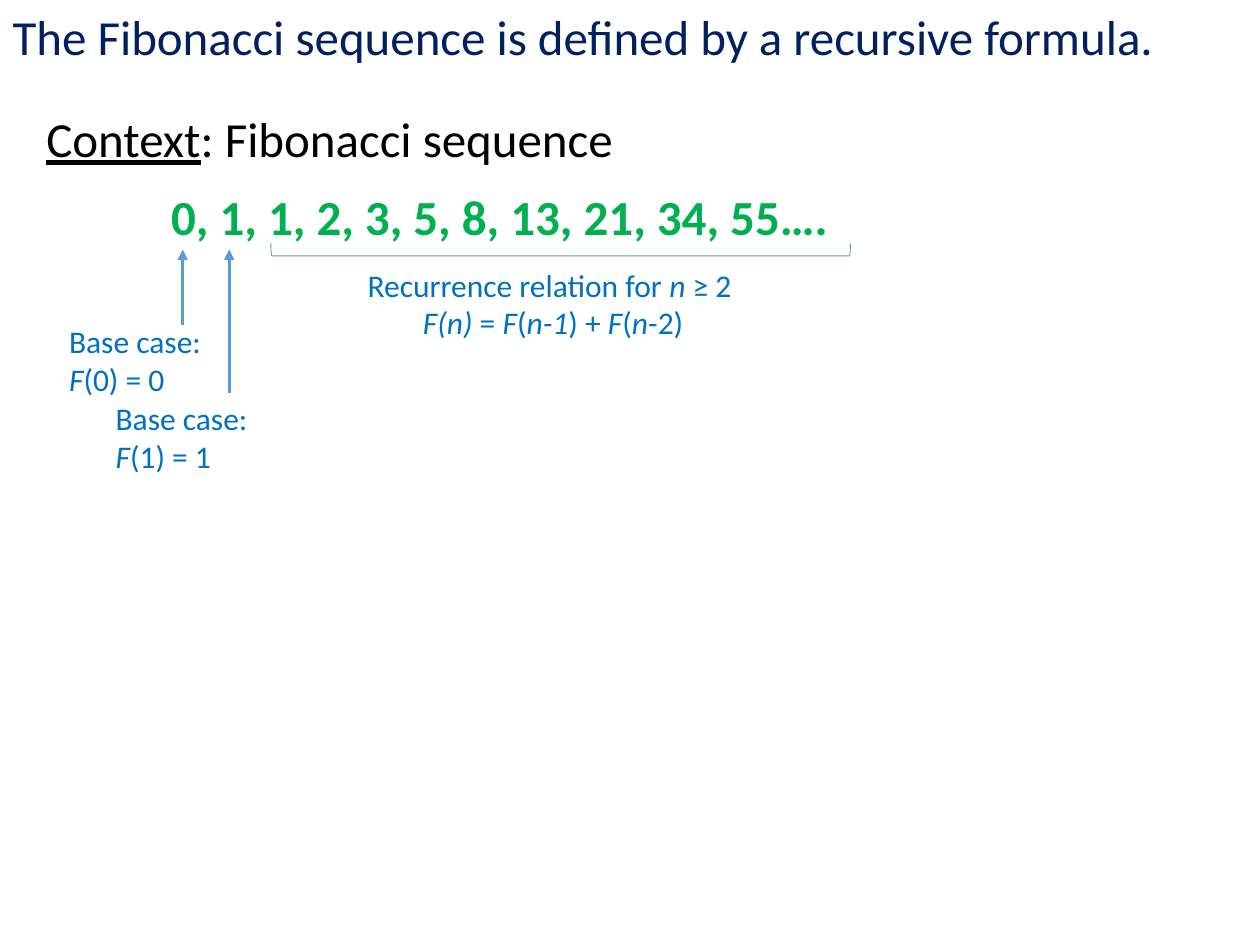
from pptx import Presentation
from pptx.dml.color import RGBColor
from pptx.enum.shapes import MSO_CONNECTOR, MSO_SHAPE
from pptx.enum.text import MSO_ANCHOR, PP_ALIGN
from pptx.oxml.ns import qn
from pptx.util import Pt
from lxml import etree

STRAIGHT = MSO_CONNECTOR.STRAIGHT
BRACKET = MSO_SHAPE.LEFT_BRACKET
TOP = MSO_ANCHOR.TOP
LEFT, CENTER = PP_ALIGN.LEFT, PP_ALIGN.CENTER

# Content: each paragraph is a list of (text, font overrides)
ITALIC = {"italic": True}
UNDERLINE = {"underline": True}
TITLE = [[("The Fibonacci sequence is defined by a recursive formula.", {})]]
CONTEXT = [[("Context", UNDERLINE), (": Fibonacci sequence", {})]]
SEQUENCE = [[("0, 1, 1, 2, 3, 5, 8, 13, 21, 34, 55….", {})]]
RECURRENCE = [
    [("Recurrence relation for ", {}), ("n ", ITALIC), ("≥ 2 ", {})],
    [("F(n)", ITALIC), (" = ", {}), ("F", ITALIC), ("(", {}), ("n-1", ITALIC),
     (") + ", {}), ("F", ITALIC), ("(", {}), ("n", ITALIC), ("-2)", {})],
]
# Base cases: index (also the value), label left, label top, arrow start
BASE_CASES = [(0, 32.4, 180.7, 185.8), (1, 59, 224.6, 224.6)]

# Formats
BLUE_LINE = "5B9BD5"
HEADING = {"name": "Calibri", "size": Pt(28)}
TITLE_FONT = {**HEADING, "color": "002060", "bold": False}
CONTEXT_FONT = {**HEADING, "color": "000000"}
SEQUENCE_FONT = {**HEADING, "color": "00B050", "bold": True}
NOTE_FONT = {"name": "Calibri", "size": Pt(18), "color": "0070C0"}

# Layout in points
HEADING_HEIGHT, NOTE_HEIGHT = 41.2, 50.9
ARROW_TIP, ARROW_OFFSET = 142.6, 72
BRACKET_BOX = (316.8, -23, 7.2, 331.2)


def color(hex_string):
    return RGBColor.from_string(hex_string)


def format_font(font, values):
    for name, value in values.items():
        if name == "color":
            font.color.rgb = color(value)
        else:
            setattr(font, name, value)


def fill_text(shape, box, paragraphs, font, align=LEFT, level=0):
    shape.left, shape.top, shape.width, shape.height = map(Pt, box)
    frame = shape.text_frame
    frame.word_wrap = True
    frame.vertical_anchor = TOP
    for index, runs in enumerate(paragraphs):
        paragraph = frame.add_paragraph() if index else frame.paragraphs[0]
        paragraph.alignment = align
        paragraph.level = level
        for text, overrides in runs:
            run = paragraph.add_run()
            run.text = text
            format_font(run.font, {**font, **overrides})


def add_text(box, *arguments, **options):
    fill_text(slide.shapes.add_textbox(0, 0, 0, 0), box, *arguments, **options)


def add_arrow(x, start, end):
    arrow = slide.shapes.add_connector(STRAIGHT, Pt(x), Pt(start), Pt(x), Pt(end))
    arrow.line.color.rgb = color(BLUE_LINE)
    arrow.line.width = Pt(1.5)
    etree.SubElement(arrow.line._get_or_add_ln(), qn("a:tailEnd"), type="triangle")
    etree.SubElement(arrow._element.spPr, qn("a:effectLst"))


presentation = Presentation()
presentation.slide_width, presentation.slide_height = Pt(720), Pt(540)
slide = presentation.slides.add_slide(presentation.slide_layouts[5])

# Title, context and sequence
fill_text(slide.shapes.title, (0, 0, 710.6, HEADING_HEIGHT), TITLE, TITLE_FONT)
add_text((-16.6, 58.3, 611.3, HEADING_HEIGHT), CONTEXT, CONTEXT_FONT, level=1)
add_text((54.7, 103, 611.3, HEADING_HEIGHT), SEQUENCE, SEQUENCE_FONT, level=1)

# Base cases with their arrows
for number, left, top, start in BASE_CASES:
    add_arrow(left + ARROW_OFFSET, start, ARROW_TIP)
    label = [[("Base case: ", {})], [("F", ITALIC), (f"({number}) = {number}", {})]]
    add_text((left, top, 91.4, NOTE_HEIGHT), label, NOTE_FONT)

# Bracket under the recursive terms
bracket = slide.shapes.add_shape(BRACKET, *map(Pt, BRACKET_BOX))
bracket.rotation = 270
bracket.shadow.inherit = False
bracket.fill.background()
bracket.line.color.rgb = color(BLUE_LINE)
bracket.line.width = Pt(0.5)
add_text((150.5, 148.3, 331.2, NOTE_HEIGHT), RECURRENCE, NOTE_FONT, align=CENTER)

presentation.save("out.pptx")
